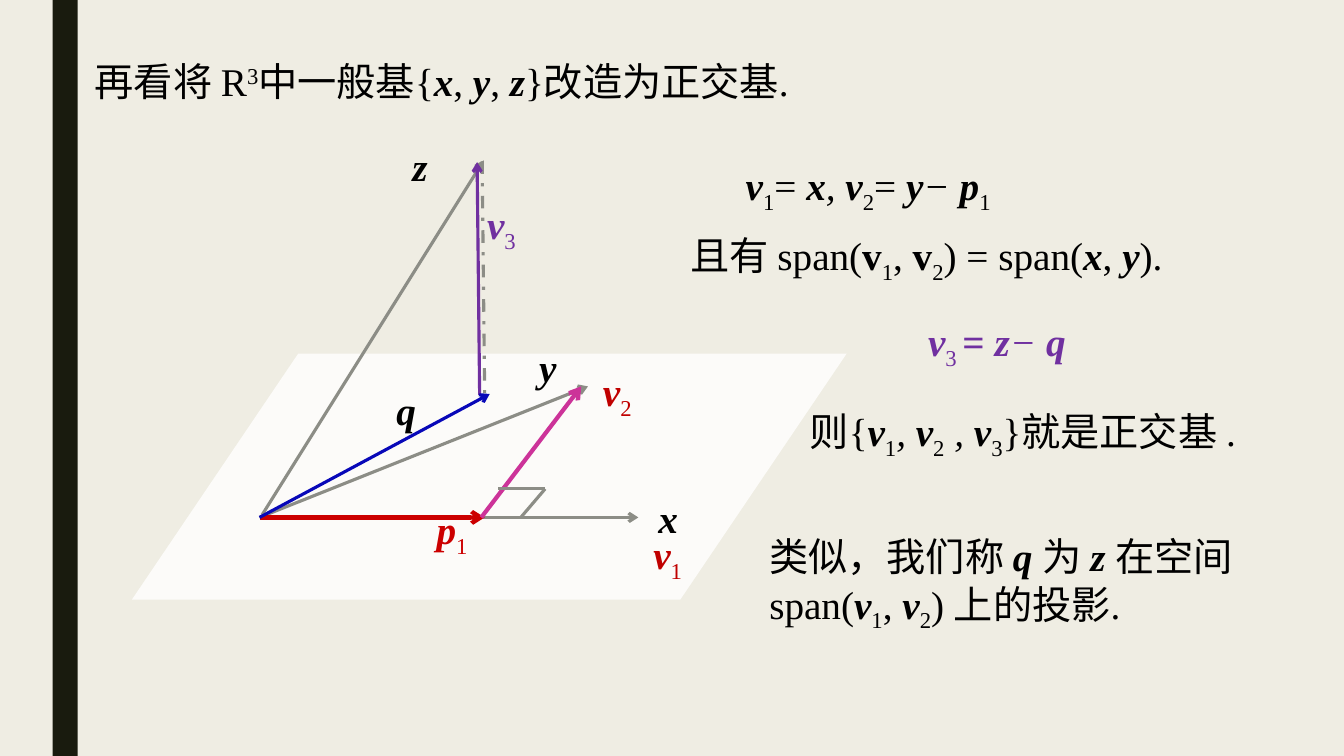
from lxml.etree import SubElement
from pptx import Presentation
from pptx.dml.color import RGBColor
from pptx.enum.dml import MSO_LINE
from pptx.enum.shapes import MSO_CONNECTOR, MSO_SHAPE
from pptx.enum.text import MSO_AUTO_SIZE
from pptx.oxml.ns import qn
from pptx.util import Inches, Pt

COLS, ROWS = 160, 90
BLACK, GRAY, RED, CRIMSON = "000000", "8C8D86", "CC0000", "C00000"
PURPLE, PINK, BLUE = "7030A0", "CC3399", "0808B8"


def rgb(color):
    return RGBColor.from_string(color)


class Board:
    """Draws vectors and formulas on a slide measured in columns and rows."""

    font, size, row_height = "Times New Roman", 28, 6.8

    def __init__(self, prs, background):
        self.cw, self.rh = prs.slide_width / COLS, prs.slide_height / ROWS
        self.slide = prs.slides.add_slide(prs.slide_layouts[6])
        fill = self.slide.background.fill
        fill.solid()
        fill.fore_color.rgb = rgb(background)

    def at(self, x, y):
        return round(x * self.cw), round(y * self.rh)

    def shape(self, kind, x, y, w, h, color):
        sp = self.slide.shapes.add_shape(kind, *self.at(x, y), *self.at(w, h))
        sp.shadow.inherit = False
        sp.fill.solid()
        sp.fill.fore_color.rgb = rgb(color)
        sp.line.fill.background()
        return sp

    def line(self, start, end, color, width=2.25, arrow=True, dash=None):
        ln = self.slide.shapes.add_connector(
            MSO_CONNECTOR.STRAIGHT, *self.at(*start), *self.at(*end))
        ln.line.color.rgb = rgb(color)
        ln.line.width = Pt(width)
        if dash:
            ln.line.dash_style = dash
        if arrow:
            SubElement(ln.line._get_or_add_ln(), qn("a:tailEnd"), type="arrow")
        SubElement(ln._element.spPr, qn("a:effectLst"))

    def text(self, x, y, w, *paragraphs, color=BLACK, spacing=None):
        """Runs are split by |; after ~ come b, i, u (raised) or d (lowered)."""
        h = self.row_height * len(paragraphs)
        sp = self.slide.shapes.add_textbox(*self.at(x, y), *self.at(w, h))
        tf = sp.text_frame
        tf.word_wrap = True
        tf.auto_size = MSO_AUTO_SIZE.SHAPE_TO_FIT_TEXT
        for i, markup in enumerate(paragraphs):
            p = tf.add_paragraph() if i else tf.paragraphs[0]
            if spacing and i == 0:
                p.line_spacing = spacing
            for part in markup.split("|"):
                self.run(p, part, color)

    def run(self, p, part, color):
        content, _, style = part.partition("~")
        r = p.add_run()
        r.text = content
        r.font.name, r.font.size = self.font, Pt(self.size)
        r.font.bold, r.font.italic = "b" in style, "i" in style
        r.font.color.rgb = rgb(color)
        rPr = r._r.get_or_add_rPr()
        rPr.set("lang", "zh-CN")
        if "u" in style:
            rPr.set("baseline", "30000")
        if "d" in style:
            rPr.set("baseline", "-25000")


def main():
    prs = Presentation()
    prs.slide_width, prs.slide_height = Inches(13.33), Inches(7.5)
    b = Board(prs, "EFEDE3")

    b.shape(MSO_SHAPE.RECTANGLE, 6.25, 0, 3, ROWS, "191B0E")
    b.text(10.1, 6.2, 88.3,
           "再看将 |R|3~u|中一般基{|x~bi|, |y~bi|, |z~bi|}改造为正交基.")
    plane = b.shape(MSO_SHAPE.PARALLELOGRAM, 15.7, 42.1, 85.1, 29.3, "FCFBF9")
    plane.adjustments[0] = 0.676

    origin, foot, corner = (30.9, 61.6), (57.3, 61.6), (64.9, 58.2)
    b.line(origin, (76, 61.6), GRAY)
    b.line(origin, (70, 46), GRAY)
    b.line((31.2, 61.3), (57.6, 19.1), GRAY)
    b.line(origin, (57.7, 61.6), RED, 3)
    b.line(foot, (69.2, 46), PINK, 3)
    b.line((59.3, 58.2), corner, GRAY, arrow=False)
    b.line(corner, (62, 61.6), GRAY, arrow=False)
    b.line((57.4, 19.2), (57.7, 46.9), GRAY, arrow=False,
           dash=MSO_LINE.DASH_DOT)
    b.line((57.1, 47), (56.8, 19.3), PURPLE)
    b.line(origin, (58.3, 46.9), BLUE)

    labels = [
        (77.2, 58.2, 6, "x~bi", BLACK),
        (47.9, 16.4, 4.2, "z~bi", BLACK),
        (63, 40.3, 4.6, "y~bi", BLACK),
        (46, 45.4, 4.8, "q~bi", BLACK),
        (76.6, 62.6, 6.2, "v~bi|1~d", CRIMSON),
        (70.6, 43.1, 6.2, "v~bi|2~d", CRIMSON),
        (56.8, 23.3, 6.2, "v~bi|3~d", PURPLE),
        (50.8, 59.6, 6.4, "p~bi|1~d", RED),
    ]
    formulas = [
        (87.6, 18.6, 32,
         "v~bi|1~d|= |x~bi|, ~i|v~bi|2~d|= |y~bi|−~i| p~bi|1~d", BLACK),
        (81, 27, 60.7,
         "且有 span(|v~b|1~d|, |v~b|2~d|) = span(|x~bi|, |y~bi|).", BLACK),
        (109.3, 37.2, 20.2, "v~bi|3 ~d|= ~b|z~bi|− ~i|q~bi", PURPLE),
        (95.2, 47.9, 56.7,
         "则{|v~bi|1~d|, ~i|v~bi|2~d| , ~i|v~bi|3~d|}就是正交基 .", BLACK),
    ]
    for x, y, w, markup, color in labels + formulas:
        b.text(x, y, w, markup, color=color)

    b.text(90.4, 62, 58.1,
           "类似，我们称 |q ~bi|为 |z ~bi|在空间",
           "span(|v~bi|1~d|, |v~bi|2~d|) 上的投影.", spacing=1.15)
    prs.save("out.pptx")


if __name__ == "__main__":
    main()
